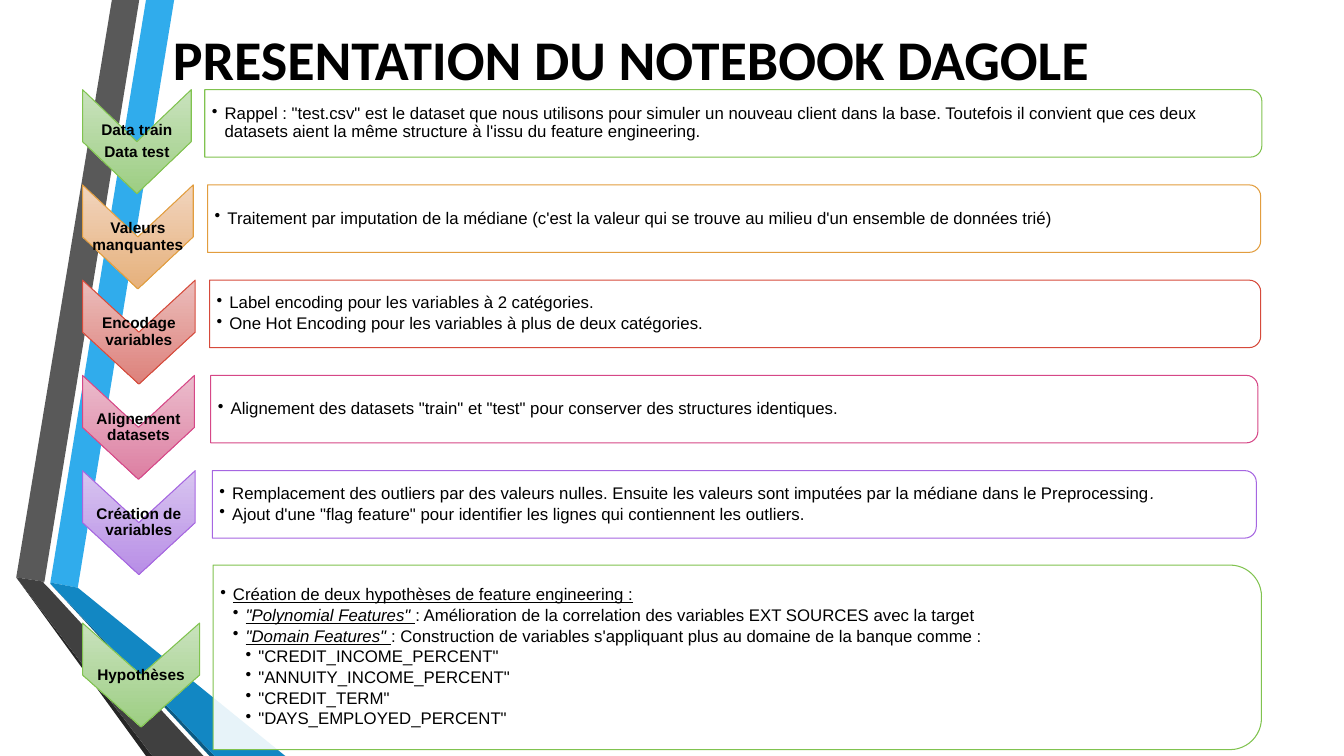
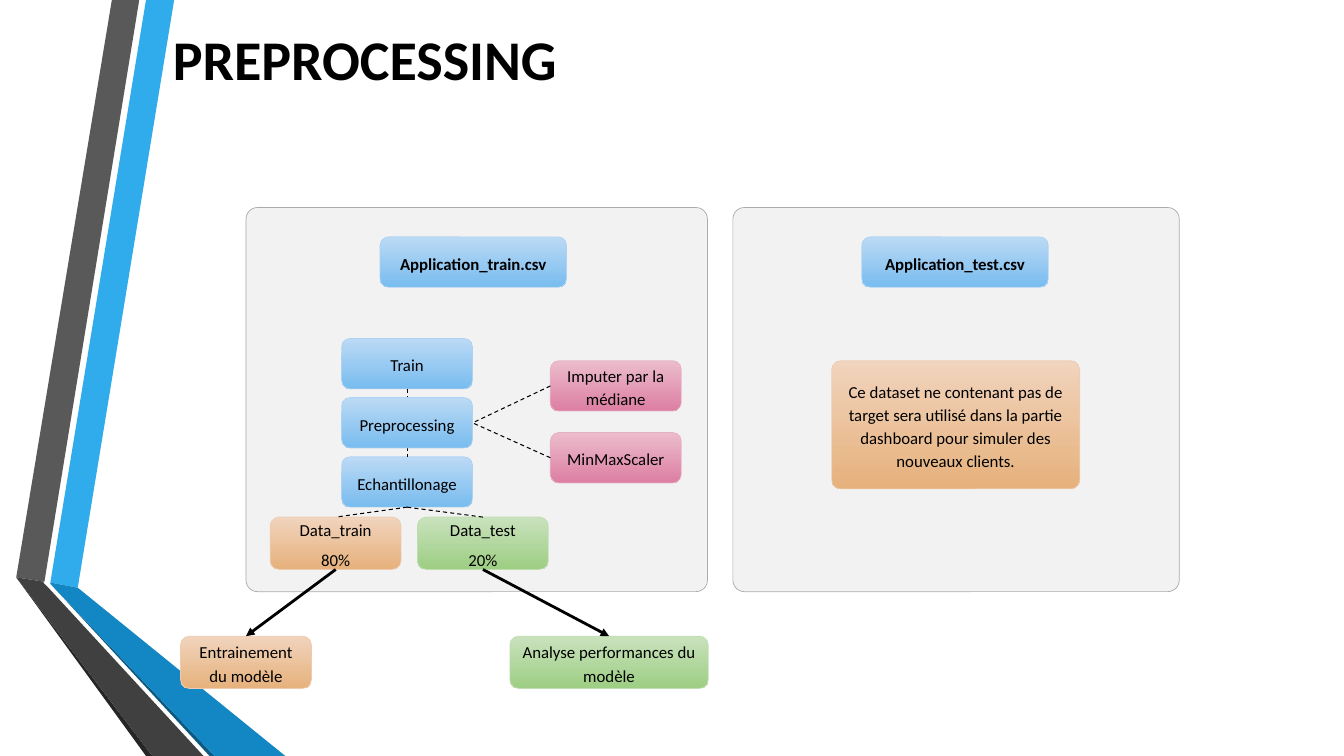
from lxml.etree import SubElement
from pptx import Presentation
from pptx.dml.color import RGBColor
from pptx.enum.dml import MSO_LINE
from pptx.enum.shapes import MSO_CONNECTOR, MSO_SHAPE
from pptx.enum.text import MSO_ANCHOR, PP_ALIGN
from pptx.oxml.ns import qn
from pptx.util import Cm, Pt

BLACK = RGBColor(0x00, 0x00, 0x00)
WHITE = RGBColor(0xFF, 0xFF, 0xFF)
PANEL_FILL = RGBColor(0xF2, 0xF2, 0xF2)
PANEL_LINE = RGBColor(0xAB, 0xAB, 0xAB)
BAND_BLUE = RGBColor(0x30, 0xAC, 0xEC)
BAND_GREY = RGBColor(0x59, 0x59, 0x59)
FOLD_BLACK = RGBColor(0x26, 0x26, 0x26)
FOLD_NAVY = RGBColor(0x0C, 0x5A, 0x82)
FOLD_BLUE = RGBColor(0x12, 0x87, 0xC3)
FOLD_GREY = RGBColor(0x40, 0x40, 0x40)

BLUE = (RGBColor(0xBC, 0xDA, 0xF5), RGBColor(0x78, 0xBC, 0xEF))
GREEN = (RGBColor(0xC9, 0xE2, 0xBD), RGBColor(0x9D, 0xCE, 0x83))
ORANGE = (RGBColor(0xF1, 0xD4, 0xBD), RGBColor(0xE6, 0xB1, 0x7C))
RED = (RGBColor(0xEB, 0xBD, 0xBB), RGBColor(0xDD, 0x81, 0x7B))
PINK = (RGBColor(0xEB, 0xBC, 0xCC), RGBColor(0xDD, 0x7F, 0xA2))
PURPLE = (RGBColor(0xD8, 0xC5, 0xF0), RGBColor(0xB8, 0x8E, 0xE6))

BOX_LINES = {
    BLUE: RGBColor(0xAD, 0xD2, 0xF3),
    GREEN: RGBColor(0xC0, 0xDD, 0xB2),
    ORANGE: RGBColor(0xEE, 0xCB, 0xAF),
    PINK: RGBColor(0xE7, 0xB0, 0xC2),
}
STEP_LINES = {
    GREEN: RGBColor(0x80, 0xC3, 0x4F),
    ORANGE: RGBColor(0xE2, 0x9D, 0x3E),
    RED: RGBColor(0xD6, 0x4A, 0x3B),
    PINK: RGBColor(0xD6, 0x47, 0x87),
    PURPLE: RGBColor(0xA6, 0x66, 0xE1),
}

TITLE_FONT = {"name": "Calibri", "size": Pt(40), "bold": True}
BOX_FONT = {"name": "Calibri", "size": Pt(12)}
STEP_FONT = {"name": "Arial", "size": Pt(11), "bold": True}
DETAIL_FONT = {"name": "Arial", "size": Pt(12)}
STEP_SPACING = {"alignment": PP_ALIGN.CENTER, "line_spacing": 0.9, "space_after": Pt(3.9)}
DETAIL_SPACING = {"alignment": PP_ALIGN.LEFT, "line_spacing": 0.9, "space_after": Pt(1.8)}
BOX_SPACING = {"alignment": PP_ALIGN.CENTER, "line_spacing": 1.15, "space_before": Pt(5)}

UNDERLINED = {"underline": True}
NAMED = {"underline": True, "italic": True}
ITALIC = {"italic": True}

BANDS = [
    (BAND_BLUE, [(1.27, 14.68), (1.96, 14.81), (4.39, 0), (3.68, 0)]),
    (BAND_GREY, [(3.51, 0), (2.82, 0), (0.41, 14.55), (1.12, 14.66)]),
    (FOLD_BLACK, [(0.41, 14.55), (3.68, 19.05), (3.84, 19.05)]),
    (FOLD_NAVY, [(1.27, 14.71), (5.28, 19.05), (5.41, 19.05)]),
    (FOLD_BLUE, [(1.27, 14.71), (5.41, 19.05), (7.19, 19.05), (1.96, 14.81), (1.27, 14.68)]),
    (FOLD_GREY, [(5.13, 19.05), (1.22, 14.81), (1.09, 14.68), (1.12, 14.66),
                 (0.41, 14.55), (3.84, 19.05)]),
]

STEP_LEFT, STEP_TOP, STEP_PITCH, STEP_HEIGHT = 2.08, 2.26, 2.4, 2.62
DETAIL_HEIGHT = 1.7
BULLET_INDENT = 0.32

STEPS = [
    (GREEN, ["Data train", "Data test"], 2.74, 5.16, 26.64, [
        (1, [("Rappel : \"test.csv\" est le dataset que nous utilisons pour simuler un nouveau client "
              "dans la base. Toutefois il convient que ces deux datasets aient la même structure "
              "à l'issu du feature engineering.", {})])]),
    (ORANGE, ["Valeurs manquantes"], 2.79, 5.23, 26.54, [
        (1, [("Traitement par imputation de la médiane (c'est la valeur qui se trouve au milieu "
              "d'un ensemble de données trié)", {})])]),
    (RED, ["Encodage variables"], 2.84, 5.28, 26.49, [
        (1, [("Label encoding pour les variables à 2 catégories.", {})]),
        (1, [("One Hot Encoding pour les variables à plus de deux catégories.", {})])]),
    (PINK, ["Alignement datasets"], 2.82, 5.31, 26.39, [
        (1, [("Alignement des datasets \"train\" et \"test\" pour conserver des structures "
              "identiques.", {})])]),
    (PURPLE, ["Création de variables"], 2.84, 5.35, 26.31, [
        (1, [("Remplacement des outliers par des valeurs nulles. Ensuite les valeurs sont imputées "
              "par la médiane dans le Preprocessing", {}), (".", ITALIC)]),
        (1, [("Ajout d'une \"flag feature\" pour identifier les lignes qui contiennent "
              "les outliers.", {})])]),
]

HYPOTHESES = [
    (1, [("Création de deux hypothèses de feature engineering :", UNDERLINED)]),
    (2, [("\"Polynomial Features\" ", NAMED),
         (": Amélioration de la correlation des variables EXT SOURCES avec la target", {})]),
    (2, [("\"Domain Features\" ", NAMED),
         (": Construction de variables s'appliquant plus au domaine de la banque comme :", {})]),
    (3, [("\"CREDIT_INCOME_PERCENT\"", {})]),
    (3, [("\"ANNUITY_INCOME_PERCENT\"", {})]),
    (3, [("\"CREDIT_TERM\"", {})]),
    (3, [("\"DAYS_EMPLOYED_PERCENT\"", {})]),
]


def set_attributes(target, values):
    for name, value in values.items():
        setattr(target, name, value)


def add_run(paragraph, text, font_values):
    run = paragraph.add_run()
    run.text = text
    set_attributes(run.font, font_values)
    run.font.color.rgb = BLACK


def write_lines(frame, lines, font_values, spacing):
    for index, line in enumerate(lines):
        paragraph = frame.add_paragraph() if index else frame.paragraphs[0]
        set_attributes(paragraph, spacing)
        add_run(paragraph, line, font_values)


def write_bullets(frame, bullets):
    for index, (level, runs) in enumerate(bullets):
        paragraph = frame.add_paragraph() if index else frame.paragraphs[0]
        set_attributes(paragraph, {**DETAIL_SPACING, "level": level})
        for text, emphasis in runs:
            add_run(paragraph, text, {**DETAIL_FONT, **emphasis})
        properties = paragraph.runs[0].font and paragraph._p.get_or_add_pPr()
        properties.set("marL", str(Cm(BULLET_INDENT * level)))
        properties.set("indent", str(-Cm(BULLET_INDENT)))
        SubElement(SubElement(properties, qn("a:buClr")), qn("a:srgbClr"), val=str(BLACK))
        SubElement(properties, qn("a:buChar"), char="•")


def set_outline(shape, color, width):
    shape.shadow.inherit = False
    shape.line.color.rgb = color
    shape.line.width = Pt(width)


def fill_gradient(shape, colors):
    shape.fill.gradient()
    shape.fill.gradient_angle = 270
    for stop, color in zip(shape.fill.gradient_stops, colors):
        stop.color.rgb = color
    shape.element.spPr.find(qn("a:gradFill")).set("rotWithShape", "0")


def fill_translucent(shape, color, percent):
    shape.fill.solid()
    shape.fill.fore_color.rgb = color
    color_element = shape.element.spPr.find(qn("a:solidFill")).find(qn("a:srgbClr"))
    SubElement(color_element, qn("a:alpha"), val=str(percent * 1000))


def add_bands(slide, master):
    for index, (color, points) in enumerate(BANDS):
        corners = [(Cm(x), Cm(y)) for x, y in points]
        builder = slide.shapes.build_freeform(*corners[0], scale=1.0)
        builder.add_line_segments(corners[1:], close=True)
        band = builder.convert_to_shape()
        band.shadow.inherit = False
        band.fill.solid()
        band.fill.fore_color.rgb = color
        band.line.fill.background()
        band.element.nvSpPr.cNvPr.set("id", str(100 + index))
        master.shapes.element.append(band.element)


def add_title(slide, text):
    title = slide.shapes.add_textbox(Cm(4.11), Cm(0), Cm(27.81), Cm(2.95))
    set_attributes(title.text_frame, {"word_wrap": True, "vertical_anchor": MSO_ANCHOR.MIDDLE})
    write_lines(title.text_frame, [text], TITLE_FONT, {"alignment": PP_ALIGN.LEFT})


def add_turned_shape(slide, kind, left, top, width, height, inset):
    shape = slide.shapes.add_shape(
        kind, Cm(left + (width - height) / 2), Cm(top + (height - width) / 2),
        Cm(height), Cm(width))
    shape.rotation = 90
    margins = dict.fromkeys(
        ("margin_left", "margin_right", "margin_top", "margin_bottom"), Cm(inset))
    set_attributes(shape.text_frame, {
        **margins, "word_wrap": True, "vertical_anchor": MSO_ANCHOR.MIDDLE})
    shape.element.txBody.bodyPr.set("vert", "vert270")
    return shape


def add_step(slide, colors, labels, left, top, width):
    chevron = add_turned_shape(slide, MSO_SHAPE.CHEVRON, left, top, width, STEP_HEIGHT, 0)
    fill_gradient(chevron, colors)
    set_outline(chevron, STEP_LINES[colors], 0.75)
    write_lines(chevron.text_frame, labels, STEP_FONT, STEP_SPACING)


def add_detail(slide, colors, left, top, width, height, bullets):
    detail = add_turned_shape(
        slide, MSO_SHAPE.ROUND_2_SAME_RECTANGLE, left, top, width, height, 0.18)
    detail.adjustments[0] = 0.17
    fill_translucent(detail, WHITE, 90)
    set_outline(detail, STEP_LINES[colors], 0.75)
    write_bullets(detail.text_frame, bullets)


def add_panel(slide, left, width):
    panel = slide.shapes.add_shape(
        MSO_SHAPE.ROUNDED_RECTANGLE, Cm(left), Cm(5.23), Cm(width), Cm(9.68))
    panel.adjustments[0] = 0.03
    panel.fill.solid()
    panel.fill.fore_color.rgb = PANEL_FILL
    set_outline(panel, PANEL_LINE, 0.5)


def add_box(slide, colors, lines, left, top, width=3.3, height=1.27,
            bold=False, after=10, rounding=0.17):
    box = slide.shapes.add_shape(
        MSO_SHAPE.ROUNDED_RECTANGLE, Cm(left), Cm(top), Cm(width), Cm(height))
    box.adjustments[0] = rounding
    fill_gradient(box, colors)
    set_outline(box, BOX_LINES[colors], 0.5)
    set_attributes(box.text_frame, {"word_wrap": True, "vertical_anchor": MSO_ANCHOR.MIDDLE})
    write_lines(box.text_frame, lines, {**BOX_FONT, "bold": bold},
                {**BOX_SPACING, "space_after": Pt(after)})
    return box


def add_link(slide, start, start_side, end, end_side, arrow=False):
    link = slide.shapes.add_connector(MSO_CONNECTOR.STRAIGHT, 0, 0, 0, 0)
    link.begin_connect(start, start_side)
    link.end_connect(end, end_side)
    link.line.color.rgb = BLACK
    link.line.width = Pt(0 if arrow else 0.75)
    if arrow:
        SubElement(link.line._get_or_add_ln(), qn("a:tailEnd"), type="triangle")
    else:
        link.line.dash_style = MSO_LINE.DASH
    SubElement(link.element.spPr, qn("a:effectLst"))


def build_notebook(slide):
    add_title(slide, "PRESENTATION DU NOTEBOOK DAGOLE")
    for index, (colors, labels, width, left, detail_width, bullets) in enumerate(STEPS):
        top = STEP_TOP + index * STEP_PITCH
        add_step(slide, colors, labels, STEP_LEFT, top, width)
        add_detail(slide, colors, left, top, detail_width, DETAIL_HEIGHT, bullets)
    add_step(slide, GREEN, ["Hypothèses"], STEP_LEFT, 15.7, 2.95)
    add_detail(slide, GREEN, 5.37, 14.24, 26.42, 4.65, HYPOTHESES)


def build_preprocessing(slide):
    add_panel(slide, 18.47, 11.25)
    add_panel(slide, 6.2, 11.63)
    add_title(slide, "PREPROCESSING")

    for name, left in (("Application_train.csv", 9.58), ("Application_test.csv", 21.72)):
        add_box(slide, BLUE, [name], left, 5.97, width=4.7, bold=True)
    add_box(slide, ORANGE,
            ["Ce dataset ne contenant pas de target sera utilisé dans la partie dashboard "
             "pour simuler des nouveaux clients."],
            20.96, 9.09, width=6.25, height=3.23, rounding=0.07)

    stage_left, stage_top, stage_pitch = 8.61, 8.53, 1.49
    train = add_box(slide, BLUE, ["Train"], stage_left, stage_top)
    sampling = add_box(slide, BLUE, ["Echantillonage"], stage_left, stage_top + 2 * stage_pitch)
    add_link(slide, train, 2, sampling, 0)
    preprocessing = add_box(slide, BLUE, ["Preprocessing"], stage_left, stage_top + stage_pitch)

    for label, top in (("Imputer par la médiane", 9.09), ("MinMaxScaler", 10.9)):
        method = add_box(slide, PINK, [label], 13.87, top)
        add_link(slide, method, 1, preprocessing, 3)

    branches = [
        (ORANGE, ["Data_train", "80%"], 6.81, "Entrainement du modèle", 4.55, 3.3),
        (GREEN, ["Data_test", "20%"], 10.52, "Analyse performances du modèle", 12.85, 5),
    ]
    for colors, lines, left, use, use_left, use_width in branches:
        sample = add_box(slide, colors, lines, left, 13.03, height=1.32, after=0)
        outcome = add_box(slide, colors, [use], use_left, 16.03,
                          width=use_width, height=1.32, after=0)
        add_link(slide, sampling, 2, sample, 0)
        add_link(slide, sample, 2, outcome, 0, arrow=True)


def main():
    presentation = Presentation()
    presentation.slide_width = Cm(33.87)
    presentation.slide_height = Cm(19.05)
    blank = presentation.slide_layouts[6]
    notebook = presentation.slides.add_slide(blank)
    add_bands(notebook, presentation.slide_master)
    build_notebook(notebook)
    build_preprocessing(presentation.slides.add_slide(blank))
    presentation.save("out.pptx")


if __name__ == "__main__":
    main()
